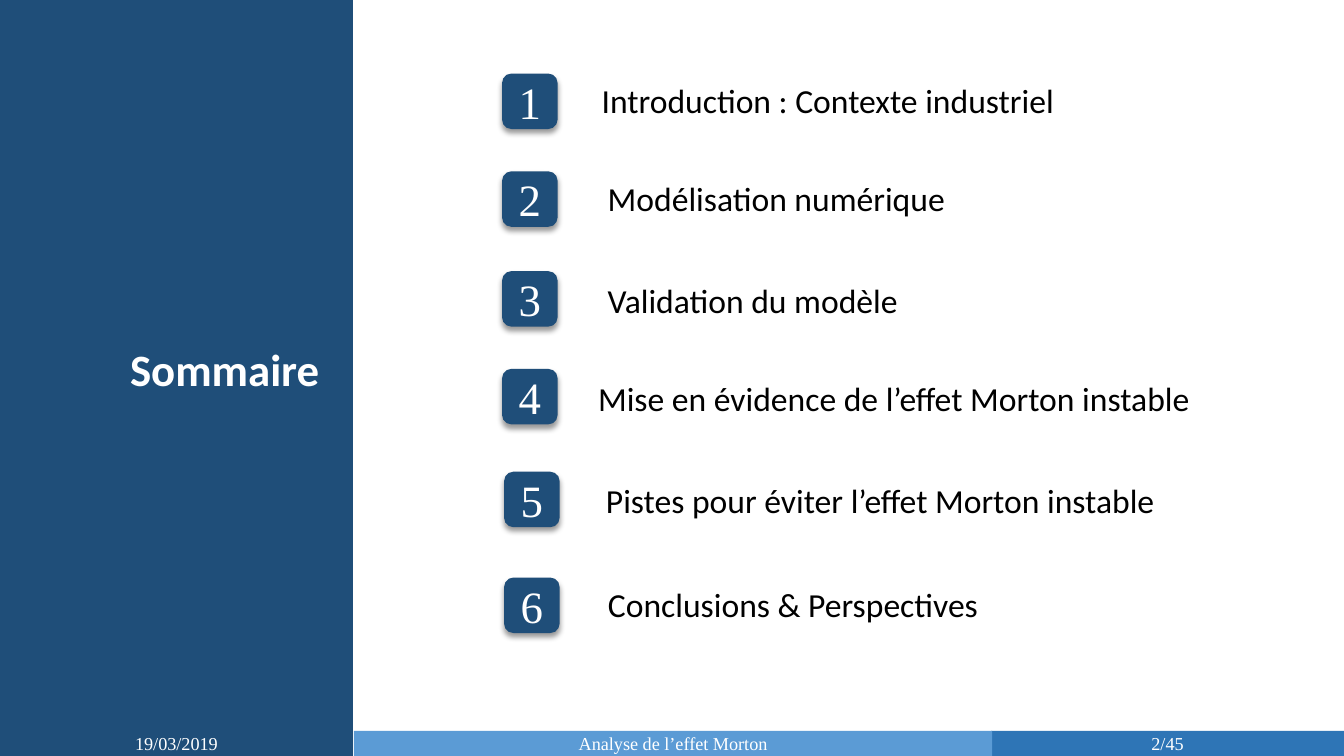
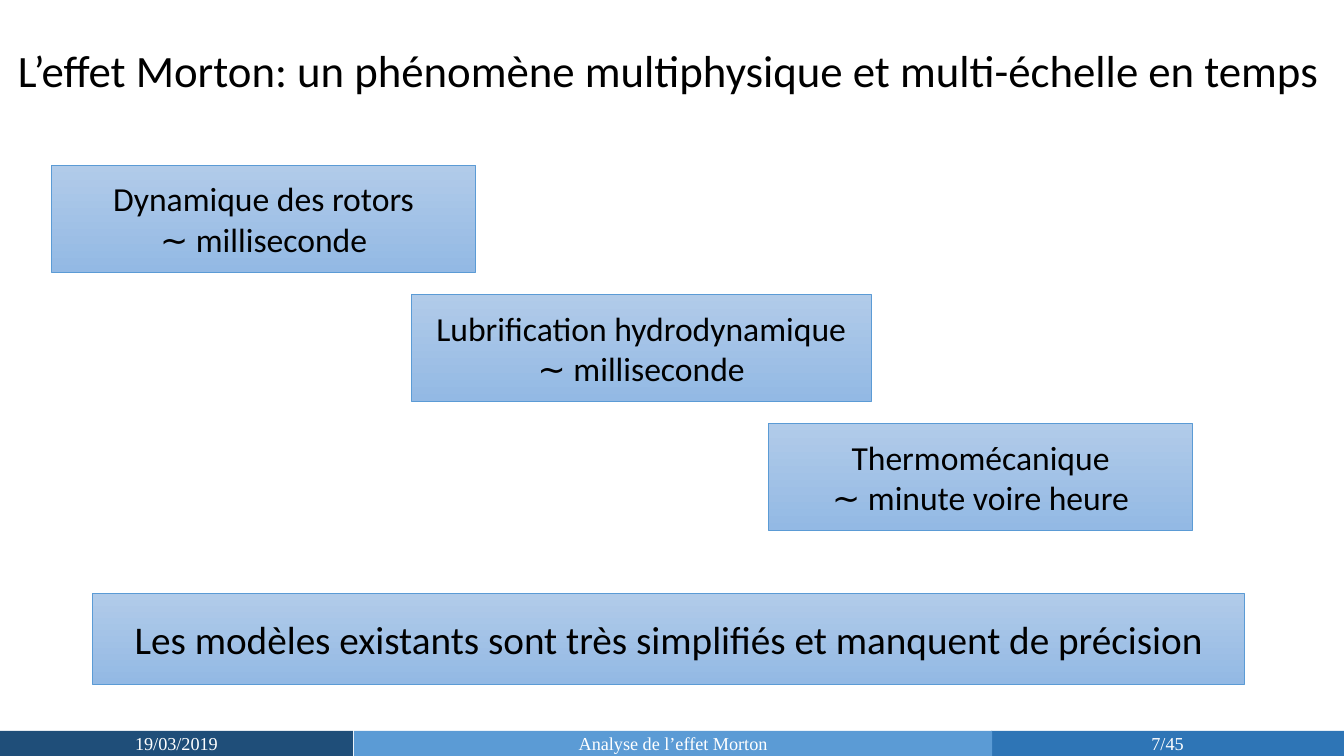
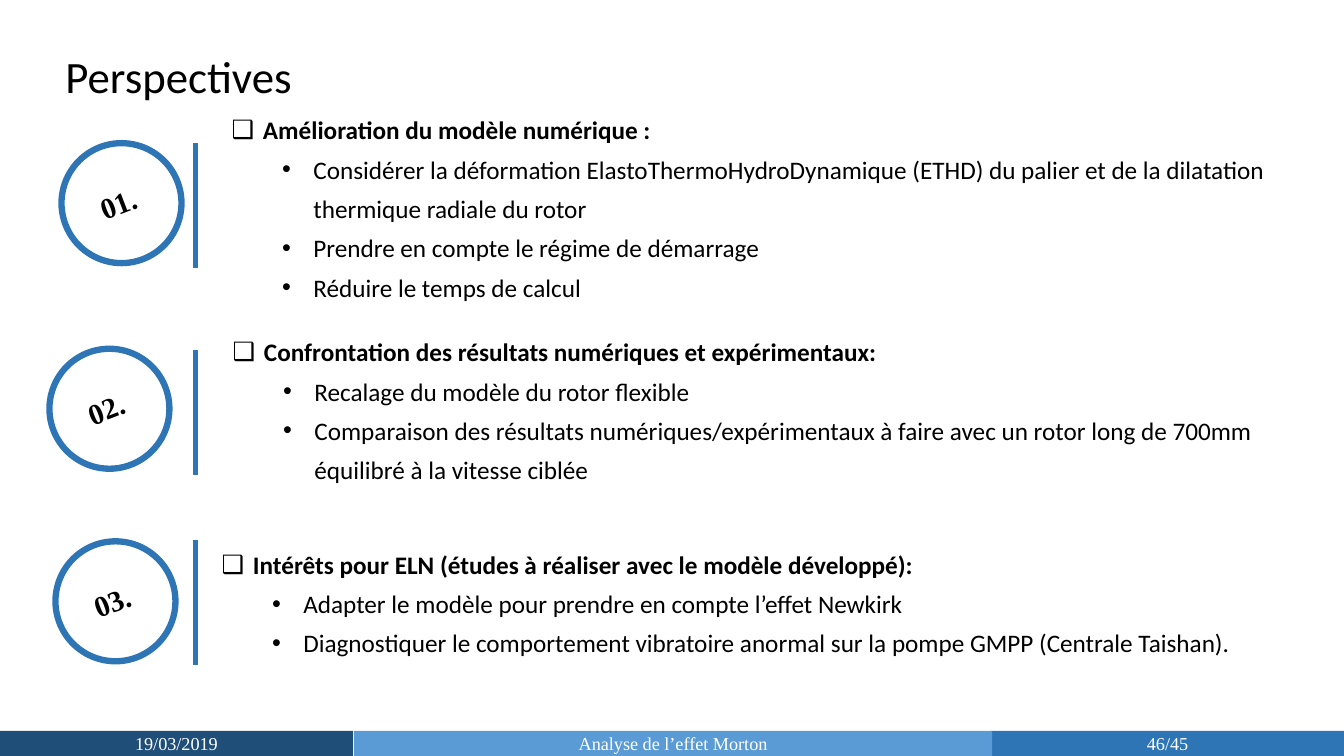
from lxml import etree
from pptx import Presentation
from pptx.dml.color import RGBColor
from pptx.enum.shapes import MSO_SHAPE
from pptx.enum.text import MSO_ANCHOR, MSO_AUTO_SIZE, PP_ALIGN
from pptx.oxml.ns import qn
from pptx.util import Inches, Pt

RECT, ROUND, OVAL = MSO_SHAPE.RECTANGLE, MSO_SHAPE.ROUNDED_RECTANGLE, MSO_SHAPE.OVAL
LEFT, CENTER = PP_ALIGN.LEFT, PP_ALIGN.CENTER
TOP, MIDDLE = MSO_ANCHOR.TOP, MSO_ANCHOR.MIDDLE
GROW = MSO_AUTO_SIZE.SHAPE_TO_FIT_TEXT

# Shared look
COLORS = {
    "navy": "1F4E79", "blue": "2E75B6", "sky": "5B9BD5",
    "grad_top": "B1CBE9", "grad_bottom": "93B9E4",
    "white": "FFFFFF", "black": "000000",
}
SANS, SERIF = "Calibri", "Times New Roman"
DATE, FOOTER, TOTAL = "19/03/2019", "Analyse de l’effet Morton", 45


def rgb(name):
    return RGBColor.from_string(COLORS[name])


# Text
def style_run(r, size, font=SANS, color="black", bold=False):
    r.font.size, r.font.name, r.font.bold = Pt(size), font, bold
    r.font.color.rgb = rgb(color)


def set_text(sp, text, size, font=SANS, color="black", bold=False,
             align=CENTER, anchor=MIDDLE):
    tf = sp.text_frame
    tf.text = text
    tf.vertical_anchor = anchor
    for p in tf.paragraphs:
        p.alignment = align
        for r in p.runs:
            style_run(r, size, font, color, bold)


def add_text(shapes, box, text, size, wrap=False, **style):
    sp = shapes.add_textbox(*map(Inches, box))
    sp.text_frame.word_wrap = wrap
    sp.text_frame.auto_size = GROW
    set_text(sp, text, size, anchor=TOP, **style)
    return sp


def add_title(s, box, text):
    add_text(s.shapes, box, text, 32, align=LEFT)


def set_bullet(p, char, indent):
    pPr = p._p.get_or_add_pPr()
    pPr.set("marL", str(Inches(indent)))
    pPr.set("indent", str(-Inches(0.31)))
    etree.SubElement(pPr, qn("a:buFont"), typeface="Arial")
    etree.SubElement(pPr, qn("a:buChar"), char=char)


def add_bullets(s, box, heading, items):
    sp = s.shapes.add_textbox(*map(Inches, box))
    tf = sp.text_frame
    tf.word_wrap = True
    tf.auto_size = GROW
    tf.text = "\n".join([heading] + items)
    for i, p in enumerate(tf.paragraphs):
        if i == 0:
            set_bullet(p, "❑", 0.31)
        else:
            p.level = 1
            set_bullet(p, "•", 0.81)
        p.line_spacing = 1.3
        style_run(p.runs[0], 18, bold=i == 0)


# Shapes
def add_block(shapes, kind, box, fill, line=None, width=1):
    sp = shapes.add_shape(kind, *map(Inches, box))
    sp.shadow.inherit = False
    sp.fill.solid()
    sp.fill.fore_color.rgb = rgb(fill)
    if line:
        sp.line.color.rgb = rgb(line)
        sp.line.width = Pt(width)
    else:
        sp.line.fill.background()
    return sp


def add_number_tile(s, left, top, number):
    sp = add_block(s.shapes, ROUND, (left, top, 0.55, 0.55), "navy")
    effects = sp._element.spPr.find(qn("a:effectLst"))
    shadow = etree.SubElement(effects, qn("a:outerShdw"), blurRad=str(Pt(4)),
                              dist=str(Pt(3)), dir="5400000", rotWithShape="0")
    color = etree.SubElement(shadow, qn("a:srgbClr"), val=COLORS["black"])
    etree.SubElement(color, qn("a:alpha"), val="40000")
    set_text(sp, str(number), 32, SERIF, "white")


def add_gradient_box(s, box, text, size):
    sp = add_block(s.shapes, RECT, box, "sky", "sky", 0.5)
    sp.fill.gradient()
    sp.fill.gradient_angle = 270
    for stop, name in zip(sp.fill.gradient_stops, ("grad_top", "grad_bottom")):
        stop.color.rgb = rgb(name)
    set_text(sp, text, size)


def add_badge(s, left, top, label):
    group = s.shapes.add_group_shape()
    add_block(group.shapes, OVAL, (left, top, 1.19, 1.19), "white", "blue", 4.5)
    sp = add_text(group.shapes, (left - 0.05, top + 0.37, 1.22, 0.45), label, 21,
                  wrap=True, font=SERIF, bold=True)
    sp.rotation = 338.9
    return sp


def add_footer(s, number):
    for left, width, fill, text in (
        (9.83, 3.5, "blue", f"{number}/{TOTAL}"),
        (0, 3.5, "navy", DATE),
        (3.51, 6.33, "sky", FOOTER),
    ):
        sp = add_block(s.shapes, RECT, (left, 7.25, width, 0.25), fill)
        set_text(sp, text, 13, SERIF, "white")


# Slides
def build_summary(s):
    add_block(s.shapes, RECT, (-0.01, 0, 3.5, 7.5), "navy", "navy")
    add_text(s.shapes, (1.15, 3.34, 2.16, 0.64), "Sommaire", 32,
             color="white", bold=True)
    chapters = [
        (4.98, 0.73, 5.79, 0.74, 4.84, "Introduction : Contexte industriel"),
        (4.98, 1.7, 5.91, 1.72, 3.58, "Modélisation numérique"),
        (4.98, 2.69, 5.91, 2.73, 3.11, "Validation du modèle"),
        (4.98, 3.66, 5.8, 3.7, 6.13, "Mise en évidence de l’effet Morton instable"),
        (5, 4.68, 5.88, 4.71, 5.7, "Pistes pour éviter l’effet Morton instable"),
        (5, 5.73, 5.91, 5.74, 3.91, "Conclusions & Perspectives"),
    ]
    for i, (tile_left, tile_top, left, top, width, text) in enumerate(chapters, 1):
        add_number_tile(s, tile_left, tile_top, i)
        add_text(s.shapes, (left, top, width, 0.5), text, 24)
    add_footer(s, 2)


def build_scales(s):
    add_footer(s, 7)
    add_title(s, (0.08, 0.37, 13.25, 0.64),
              "L’effet Morton: un phénomène multiphysique et multi-échelle en temps")
    steps = [
        (0.51, 4.21, "Dynamique des rotors\n∼ milliseconde"),
        (4.08, 4.56, "Lubrification hydrodynamique\n∼ milliseconde"),
        (7.62, 4.21, "Thermomécanique\n∼ minute voire heure"),
    ]
    for i, (left, width, text) in enumerate(steps):
        add_gradient_box(s, (left, 1.64 + 1.28 * i, width, 1.06), text, 24)
    add_gradient_box(s, (0.92, 5.89, 11.42, 0.9),
                     "Les modèles existants sont très simplifiés et manquent de précision", 28)


def build_outlook(s):
    add_footer(s, 46)
    add_title(s, (0.55, 0.43, 4.57, 0.64), "Perspectives")
    # Badge position, bar top, text box, heading, points
    topics = [
        (0.61, 1.42, 1.42, (2.2, 1, 10.62, 2.06),
         "Amélioration du modèle numérique :",
         ["Considérer la déformation ElastoThermoHydroDynamique (ETHD) du palier "
          "et de la dilatation thermique radiale du rotor",
          "Prendre en compte le régime de démarrage",
          "Réduire le temps de calcul"]),
        (0.49, 3.46, 3.48, (2.21, 3.2, 10.61, 1.66),
         "Confrontation des résultats numériques et expérimentaux:",
         ["Recalage du modèle du rotor flexible",
          "Comparaison des résultats numériques/expérimentaux à faire avec un "
          "rotor long de 700mm équilibré à la vitesse ciblée"]),
        (0.55, 5.37, 5.36, (2.1, 5.31, 10.42, 1.66),
         "Intérêts pour ELN (études à réaliser avec le modèle développé):",
         ["Adapter le modèle pour prendre en compte l’effet Newkirk",
          "Diagnostiquer le comportement vibratoire anormal sur la pompe GMPP "
          "(Centrale Taishan)."]),
    ]
    for i, (left, top, bar_top, box, heading, items) in enumerate(topics, 1):
        add_badge(s, left, top, f"{i:02d}.")
        add_block(s.shapes, RECT, (1.92, bar_top, 0.04, 1.23), "blue", "blue", 0.75)
        add_bullets(s, box, heading, items)


def main():
    prs = Presentation()
    prs.slide_width, prs.slide_height = Inches(13.33), Inches(7.5)
    for build in (build_summary, build_scales, build_outlook):
        build(prs.slides.add_slide(prs.slide_layouts[6]))
    prs.save("out.pptx")


if __name__ == "__main__":
    main()
